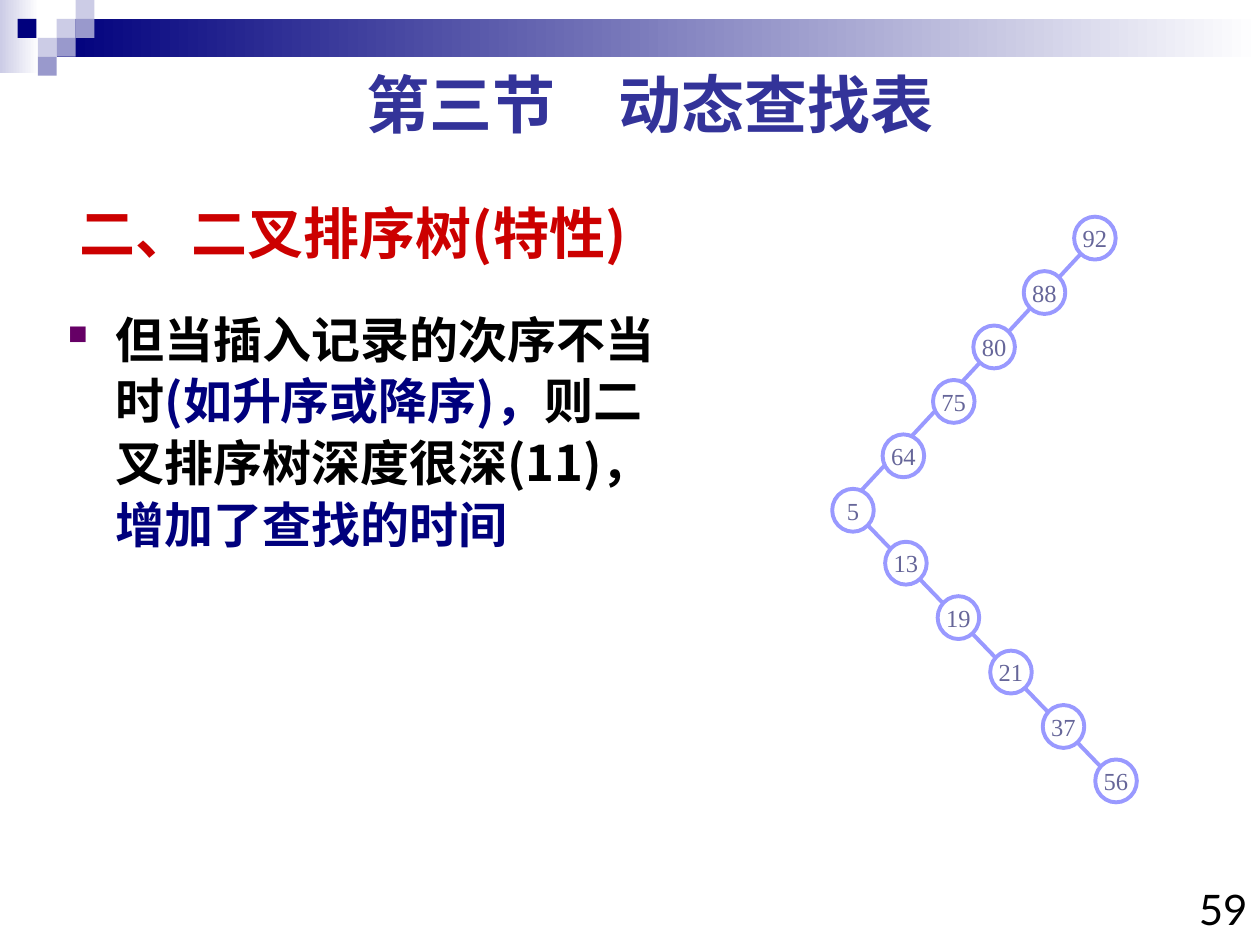
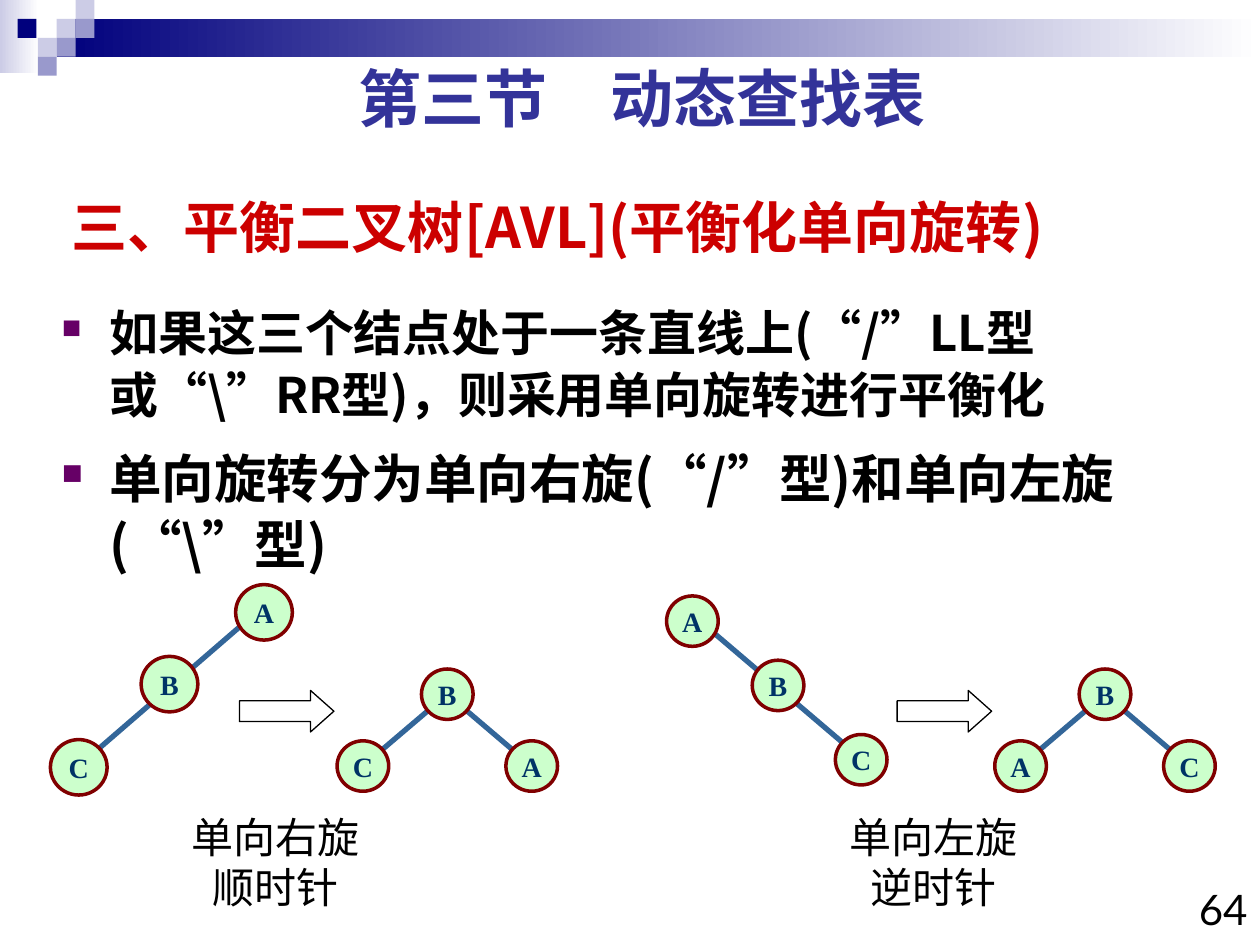
from lxml import etree
from pptx import Presentation
from pptx import util as u
from pptx.dml.color import RGBColor
from pptx.enum import lang, shapes, text
from pptx.oxml.ns import qn

COLUMNS, ROWS = 100, 75
CELL = u.Inches(0.1)
NAVY, LILAC, MAUVE, WHITE, BLACK = "00007D", "CCCCE6", "9999CC", "FFFFFF", "000000"
CJK, SERIF, SANS = "Noto Sans CJK SC", "Times New Roman", "Lato"

HEADING = dict(size=36, name=SANS, color="333399", bold=True)
TOPIC = dict(size=32, name=CJK, color="CC0000", bold=True)
PLAIN = dict(size=24, name=SANS, color=BLACK)
BODY = dict(size=28, name=CJK, color=BLACK, bold=True)
BODY_BLUE = BODY | dict(color=NAVY)
BODY_LARGE = BODY | dict(size=30)

KEY_NODE = dict(fill=WHITE, line="9999FF", weight=2.25, edge="9999FF", edge_weight=2.25,
                font=dict(size=14, name=SERIF, color="666699"))
LETTER_NODE = dict(fill="CCFFCC", line="800000", weight=2, edge="336699", edge_weight=3,
                   font=dict(size=16, name=SERIF, color="003366", bold=True))


def rgb(value):
    return RGBColor.from_string(value)


def grid(*cells):
    return [round(cell * CELL) for cell in cells]


def set_all(target, values):
    for key, value in values.items():
        setattr(target, key, value)


def add_span(para, words, style):
    span = para.add_run()
    span.text = words
    values = {key: value for key, value in style.items() if key != "color"}
    values["size"] = u.Pt(style["size"])
    values["language_id"] = lang.MSO_LANGUAGE_ID.SIMPLIFIED_CHINESE
    set_all(span.font, values)
    span.font.color.rgb = rgb(style["color"])
    etree.SubElement(span.font._element, qn("a:ea"), typeface=CJK)


def set_frame(shape, **values):
    frame = shape.text_frame
    set_all(frame, dict(word_wrap=True, auto_size=text.MSO_AUTO_SIZE.NONE) | values)
    return frame


def add_label(page, area, words, style, align):
    box = page.shapes.add_textbox(*grid(*area))
    para = set_frame(box).paragraphs[0]
    para.alignment = align
    add_span(para, words, style)


def add_bullet(para):
    para.line_spacing = 1.05
    properties = para._p.get_or_add_pPr()
    properties.set("marL", str(u.Inches(0.38)))
    properties.set("indent", str(-u.Inches(0.38)))
    color = etree.SubElement(properties, qn("a:buClr"))
    etree.SubElement(color, qn("a:srgbClr"), val="660066")
    etree.SubElement(properties, qn("a:buSzPct"), val="55000")
    etree.SubElement(properties, qn("a:buChar"), char="■")


def add_body(page, area, items):
    box = page.shapes.add_textbox(*grid(*area))
    frame = set_frame(box)
    for index, spans in enumerate(items):
        para = frame.add_paragraph() if index else frame.paragraphs[0]
        add_bullet(para)
        if index:
            para.space_before = u.Pt(11.2)
        for words, style in spans:
            add_span(para, words, style)


def quoted(mark, after, style):
    serif = style | dict(name=SERIF)
    return [("“", serif), (mark, style), ("”", serif), (after, style)]


def add_block(page, area, colors):
    block = page.shapes.add_shape(shapes.MSO_SHAPE.RECTANGLE, *grid(*area))
    block.shadow.inherit = False
    block.line.fill.background()
    if len(colors) == 1:
        block.fill.solid()
        block.fill.fore_color.rgb = rgb(colors[0])
    else:
        block.fill.gradient()
        block.fill.gradient_angle = 0
        for stop, color in zip(block.fill.gradient_stops, colors):
            stop.color.rgb = rgb(color)
    return block


def add_band(layout, page):
    side = 1.5
    squares = [(3, 1, LILAC), (4, 0, LILAC), (4, 1, MAUVE), (2, 2, LILAC),
               (0.93, 1, NAVY), (3, 2, MAUVE), (2, 3, MAUVE)]
    blocks = [add_block(page, (0, 0, 3.1, 5.8), [LILAC, WHITE]),
              add_block(page, (4.5, side, COLUMNS - 4.5, 2 * side), [NAVY, WHITE])]
    blocks += [add_block(page, (column * side, row * side, side, side), [color])
               for column, row, color in squares]
    for block in blocks:
        layout.shapes.element.append(block._element)


def add_page(deck, layout, number, topic, topic_area, heading_at):
    page = deck.slides.add_slide(layout)
    title = page.shapes.title
    set_all(title, dict(zip(("left", "top", "width", "height"), grid(*topic_area))))
    para = set_frame(title, vertical_anchor=text.MSO_ANCHOR.MIDDLE).paragraphs[0]
    para.alignment = text.PP_ALIGN.LEFT
    add_span(para, topic, TOPIC)
    add_label(page, (*heading_at, 92.5, 7), "第三节　动态查找表", HEADING, text.PP_ALIGN.CENTER)
    add_label(page, (COLUMNS - 6.7, ROWS - 5.4, 6.7, 5.9), number, PLAIN, text.PP_ALIGN.RIGHT)
    return page


def add_edge(page, start, end, style):
    edge = page.shapes.add_connector(shapes.MSO_CONNECTOR.STRAIGHT, *grid(*start, *end))
    edge.line.color.rgb = rgb(style["edge"])
    edge.line.width = u.Pt(style["edge_weight"])
    etree.SubElement(edge._element.spPr, qn("a:effectLst"))


def add_node(page, center, size, words, style):
    (x, y), (width, height) = center, size
    node = page.shapes.add_shape(shapes.MSO_SHAPE.OVAL,
                                 *grid(x - width / 2, y - height / 2, width, height))
    node.shadow.inherit = False
    node.fill.solid()
    node.fill.fore_color.rgb = rgb(style["fill"])
    node.line.color.rgb = rgb(style["line"])
    node.line.width = u.Pt(style["weight"])
    frame = set_frame(node, word_wrap=False, vertical_anchor=text.MSO_ANCHOR.MIDDLE)
    frame.paragraphs[0].alignment = text.PP_ALIGN.CENTER
    add_span(frame.paragraphs[0], words, style["font"])


def add_tree(page, size, nodes, edges, style):
    for start, end in edges:
        add_edge(page, start, end, style)
    for words, center in nodes:
        add_node(page, center, size, words, style)


def add_rotation(page, left, children, caption):
    arrow = page.shapes.add_shape(shapes.MSO_SHAPE.RIGHT_ARROW, *grid(left + 5, 54.8, 7.5, 3.3))
    arrow.shadow.inherit = False
    arrow.adjustments[1] = 0.563
    arrow.fill.background()
    arrow.line.color.rgb = rgb(BLACK)
    arrow.line.width = u.Pt(0.75)
    add_label(page, (left, 63.9, 15.8, 9), caption, PLAIN, text.PP_ALIGN.CENTER)
    root, reach, drop = (left + 21.5, 55.1), 6.7, 5.7
    places = [(root[0] + sign * reach, root[1] + drop) for sign in (-1, 1)]
    add_tree(page, (4.1, 4), [("B", root), *zip(children, places)],
             [(root, place) for place in places], LETTER_NODE)


def main():
    deck = Presentation()
    deck.slide_width, deck.slide_height = grid(COLUMNS, ROWS)
    layout = deck.slide_layouts[5]

    page = add_page(deck, layout, "59", "二、二叉排序树(特性)", (5.3, 14.7, 62.5, 7.5), (5.3, 4.7))
    add_band(layout, page)
    add_body(page, (4.4, 23.8, 49.2, 44.2), [[
        ("但当插入记录的次序不当时", BODY), ("(如升序或降序)，", BODY_BLUE),
        ("则二叉排序树深度很深(11)，", BODY), ("增加了查找的时间", BODY_BLUE)]])
    step = 4.32
    falling = [(x, 18.9 + step * row) for row, x in enumerate((86.9, 82.9, 78.9, 75.7, 71.7, 67.7))]
    rising = [(71.9 + 4.17 * row, 44.7 + step * row) for row in range(5)]
    keys = ["92", "88", "80", "75", "64", "5", "13", "19", "21", "37", "56"]
    add_tree(page, (3.3, 3.4), list(zip(keys, falling + rising)),
             [((86.1, 19.8), (66.9, 40.5)), ((68.5, 41.3), (87.6, 61.1))], KEY_NODE)

    page = add_page(deck, layout, "64", "三、平衡二叉树[AVL](平衡化单向旋转)",
                    (4.7, 14.2, 81.7, 7.5), (4.7, 4.2))
    add_body(page, (3.9, 23.3, 92.3, 44.2), [
        [("如果这三个结点处于一条直线上(", BODY), *quoted("/", "LL型或", BODY),
         *quoted("\\", "RR型)，则采用单向旋转进行平衡化", BODY)],
        [("单向旋转分为单向右旋(", BODY_LARGE), *quoted("/", "型)和单向左旋(", BODY_LARGE),
         *quoted("\\", "型)", BODY_LARGE)]])
    add_tree(page, (4.5, 4.4), [("A", (20.95, 48.6)), ("B", (13.45, 54.3)), ("C", (6.25, 60.9))],
             [((19.2, 49.6), (7.4, 59.8))], LETTER_NODE)
    add_rotation(page, 14, "CA", "单向右旋顺时针")
    add_tree(page, (4.1, 4), [("A", (54.95, 49.3)), ("B", (61.75, 54.4)), ("C", (68.35, 60.3))],
             [((56.5, 50.1), (67.3, 59.3))], LETTER_NODE)
    add_rotation(page, 66.2, "AC", "单向左旋逆时针")

    deck.save("out.pptx")


if __name__ == "__main__":
    main()
